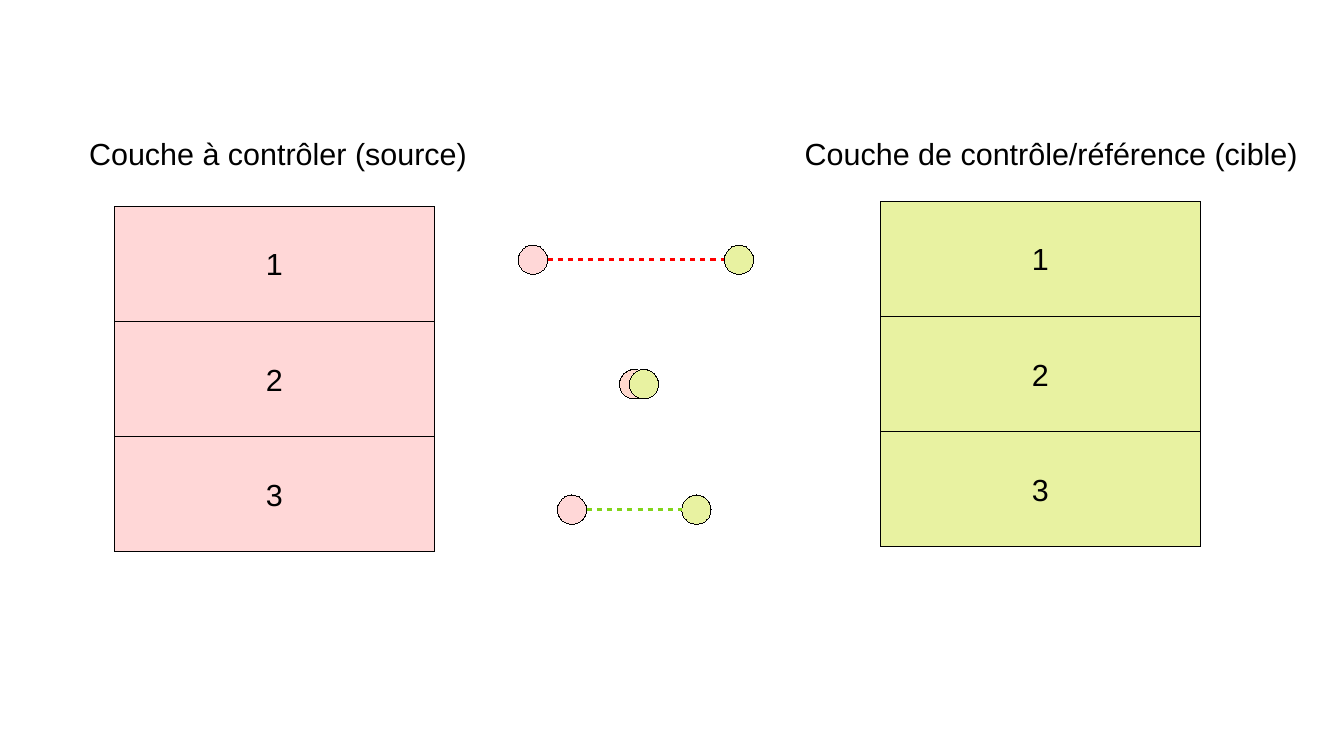
from pptx import Presentation
from pptx.dml.color import RGBColor
from pptx.enum.shapes import MSO_CONNECTOR, MSO_SHAPE
from pptx.enum.text import MSO_ANCHOR, PP_ALIGN
from pptx.oxml.ns import qn
from pptx.util import Inches, Pt
from lxml.etree import SubElement

BLACK = RGBColor(0x00, 0x00, 0x00)
PINK = RGBColor(0xFF, 0xD7, 0xD7)
PEACH = RGBColor(0xFF, 0xD8, 0xCE)
LIME = RGBColor(0xE8, 0xF2, 0xA1)
RED = RGBColor(0xFF, 0x00, 0x00)
GREEN = RGBColor(0x81, 0xD4, 0x1A)


def write(frame, text, font="Arial", size=18, color=BLACK):
    frame.word_wrap = False
    frame.vertical_anchor = MSO_ANCHOR.MIDDLE
    para = frame.paragraphs[0]
    para.alignment = PP_ALIGN.CENTER
    run = para.add_run()
    run.text = text
    run.font.name = font
    run.font.size = Pt(size)
    run.font.color.rgb = color


class Canvas:
    """Draws the parts of a layer matching diagram on one slide."""

    def __init__(self, slide, edge=BLACK, dot=0.24):
        self.shapes = slide.shapes
        self.edge = edge
        self.dot = dot

    def shape(self, kind, left, top, width, height, fill):
        shape = self.shapes.add_shape(
            kind, Inches(left), Inches(top), Inches(width), Inches(height))
        shape.shadow.inherit = False
        shape.fill.solid()
        shape.fill.fore_color.rgb = fill
        shape.line.color.rgb = self.edge
        shape.line.width = Pt(0.01)
        return shape

    def stack(self, left, top, fill, count=3, width=2.62, height=0.945):
        for row in range(count):
            cell = self.shape(MSO_SHAPE.RECTANGLE, left, top + row * height,
                              width, height, fill)
            write(cell.text_frame, str(row + 1))

    def point(self, left, top, fill):
        self.shape(MSO_SHAPE.OVAL, left, top, self.dot, self.dot, fill)

    def link(self, start, end, y, color):
        link = self.shapes.add_connector(
            MSO_CONNECTOR.STRAIGHT, Inches(start), Inches(y), Inches(end), Inches(y))
        link.line.color.rgb = color
        link.line.width = Pt(1.5)
        props = link._element.spPr
        dash = SubElement(props.find(qn("a:ln")), qn("a:custDash"))
        SubElement(dash, qn("a:ds"), d="200000", sp="200000")
        SubElement(props, qn("a:effectLst"))

    def label(self, center, text, width=4.4):
        box = self.shapes.add_textbox(
            Inches(center - width / 2), Inches(0.94), Inches(width), Inches(0.63))
        write(box.text_frame, text)


def main():
    deck = Presentation()
    deck.slide_width = Inches(11.02)
    deck.slide_height = Inches(6.2)
    canvas = Canvas(deck.slides.add_slide(deck.slide_layouts[6]))

    canvas.stack(0.94, 1.69, PINK)
    canvas.stack(7.22, 1.65, LIME)

    pairs = [
        (4.25, 5.94, 2.01, PINK, RED),
        (5.08, 5.16, 3.03, PEACH, None),
        (4.57, 5.59, 4.06, PINK, GREEN),
    ]
    for source, target, top, fill, color in pairs:
        canvas.point(source, top, fill)
        canvas.point(target, top, LIME)
        if color:
            canvas.link(source + canvas.dot, target, top + canvas.dot / 2, color)

    canvas.label(2.28, "Couche à contrôler (source)")
    canvas.label(8.62, "Couche de contrôle/référence (cible)")
    deck.save("out.pptx")


if __name__ == "__main__":
    main()
